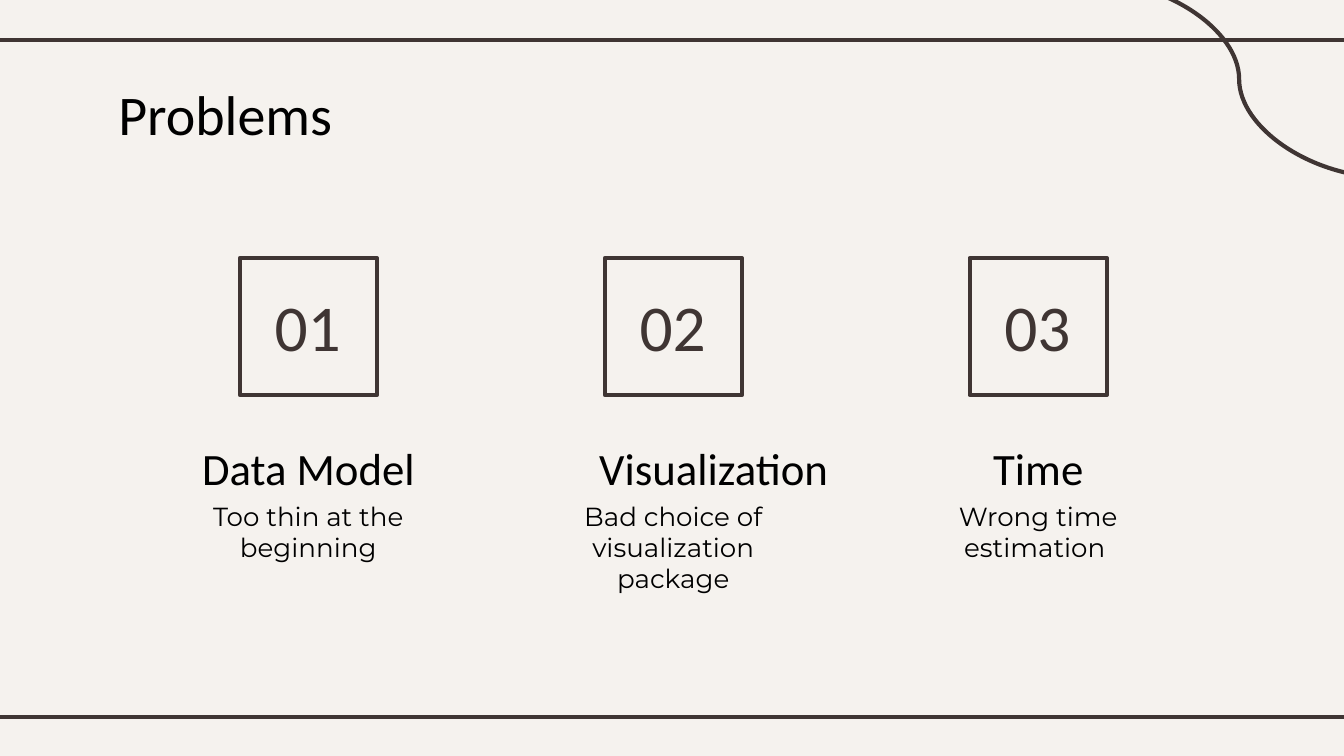
from collections import namedtuple
from dataclasses import dataclass

from lxml import etree
from pptx import Presentation
from pptx.dml.color import RGBColor
from pptx.enum.shapes import MSO_CONNECTOR, MSO_SHAPE
from pptx.enum.text import MSO_ANCHOR, MSO_AUTO_SIZE, PP_ALIGN
from pptx.oxml.ns import qn
from pptx.util import Inches, Pt

Box = namedtuple("Box", "left top width height")
Problem = namedtuple("Problem", "number heading detail heading_width")


@dataclass(frozen=True)
class Theme:
    paper: RGBColor = RGBColor.from_string("F5F2EE")
    ink: RGBColor = RGBColor.from_string("3F3533")
    text: RGBColor = RGBColor.from_string("000000")
    heading_font: str = "Calibri"
    body_font: str = "Montserrat"
    title_size: float = 30
    number_size: float = 35
    heading_size: float = 24
    body_size: float = 14
    line_width: float = 2.25


THEME = Theme()
PAGE = Box(0, 0, 10, 10 * 9 / 16)
COLUMN_PITCH = 2.715
PROBLEMS = [
    Problem("01", "Data Model", "Too thin at the beginning", 2.2),
    Problem("02", "Visualization", "Bad choice of visualization package", 2.8),
    Problem("03", "Time", "Wrong time estimation ", 2.2),
]


def in_inches(box):
    return [Inches(length) for length in box]


def write(shape, text, size, color, font, align, anchor=MSO_ANCHOR.TOP):
    frame = shape.text_frame
    frame.word_wrap = True
    frame.auto_size = MSO_AUTO_SIZE.NONE
    frame.vertical_anchor = anchor
    frame.margin_left = frame.margin_right = Inches(0.1)
    frame.margin_top = frame.margin_bottom = Inches(0.1)
    para = frame.paragraphs[0]
    para.alignment = align
    span = para.add_run()
    span.text = text
    span.font.size = Pt(size)
    span.font.name = font
    span.font.color.rgb = color


def add_label(shapes, box, text, size, color, font, anchor=MSO_ANCHOR.TOP):
    label = shapes.add_textbox(*in_inches(box))
    write(label, text, size, color, font, PP_ALIGN.CENTER, anchor)


def outline(line):
    line.color.rgb = THEME.ink
    line.width = Pt(THEME.line_width)


def add_stroke(page, kind, start, end):
    stroke = page.shapes.add_connector(kind, *in_inches((*start, *end)))
    outline(stroke.line)
    etree.SubElement(stroke._element.spPr, qn("a:effectLst"))


def add_frame_lines(page, box):
    """Draw the two full-width rules and the curve in the top right corner."""
    right = box.left + box.width
    for y in (box.top + 0.3, box.top + box.height - 0.29):
        add_stroke(page, MSO_CONNECTOR.STRAIGHT,
                   (box.left - 0.08, y), (right + 0.08, y))
    add_stroke(page, MSO_CONNECTOR.CURVE,
               (right - 1.87, box.top - 0.14), (right + 0.31, box.top + 1.32))


def add_title(page, box, text):
    title = page.shapes.title
    title.left, title.top, title.width, title.height = in_inches(box)
    write(title, text, THEME.title_size, THEME.text, THEME.heading_font,
          PP_ALIGN.LEFT)


def add_number_badge(page, box, number):
    badge = page.shapes.add_group_shape()
    square = badge.shapes.add_shape(MSO_SHAPE.RECTANGLE, *in_inches(box))
    square.shadow.inherit = False
    square.fill.solid()
    square.fill.fore_color.rgb = THEME.paper
    outline(square.line)
    add_label(badge.shapes, Box(box.left - 0.05, box.top + 0.14, 1.11, 0.73),
              number, THEME.number_size, THEME.ink, THEME.heading_font,
              MSO_ANCHOR.MIDDLE)


def add_problem(page, box, problem):
    add_number_badge(page, Box(box.left + 0.59, box.top, 1.02, 1.02),
                     problem.number)
    add_label(page.shapes,
              Box(box.left, box.top + 1.26, problem.heading_width, 0.54),
              problem.heading, THEME.heading_size, THEME.text,
              THEME.heading_font)
    add_label(page.shapes, Box(box.left, box.top + 1.7, box.width, 0.63),
              problem.detail, THEME.body_size, THEME.text, THEME.body_font)


def main():
    deck = Presentation()
    deck.slide_width = Inches(PAGE.width)
    deck.slide_height = Inches(PAGE.height)
    page = deck.slides.add_slide(deck.slide_layouts.get_by_name("Title Only"))
    page.background.fill.solid()
    page.background.fill.fore_color.rgb = THEME.paper

    add_frame_lines(page, PAGE)
    add_title(page, Box(0.78, 0.49, 6.03, 0.63), "Problems")
    first_left = (PAGE.width - 2.2) / 2 + 0.01 - COLUMN_PITCH
    for column, problem in enumerate(PROBLEMS):
        left = first_left + column * COLUMN_PITCH
        add_problem(page, Box(left, 1.92, 2.2, 2.33), problem)

    deck.save("out.pptx")


if __name__ == "__main__":
    main()
